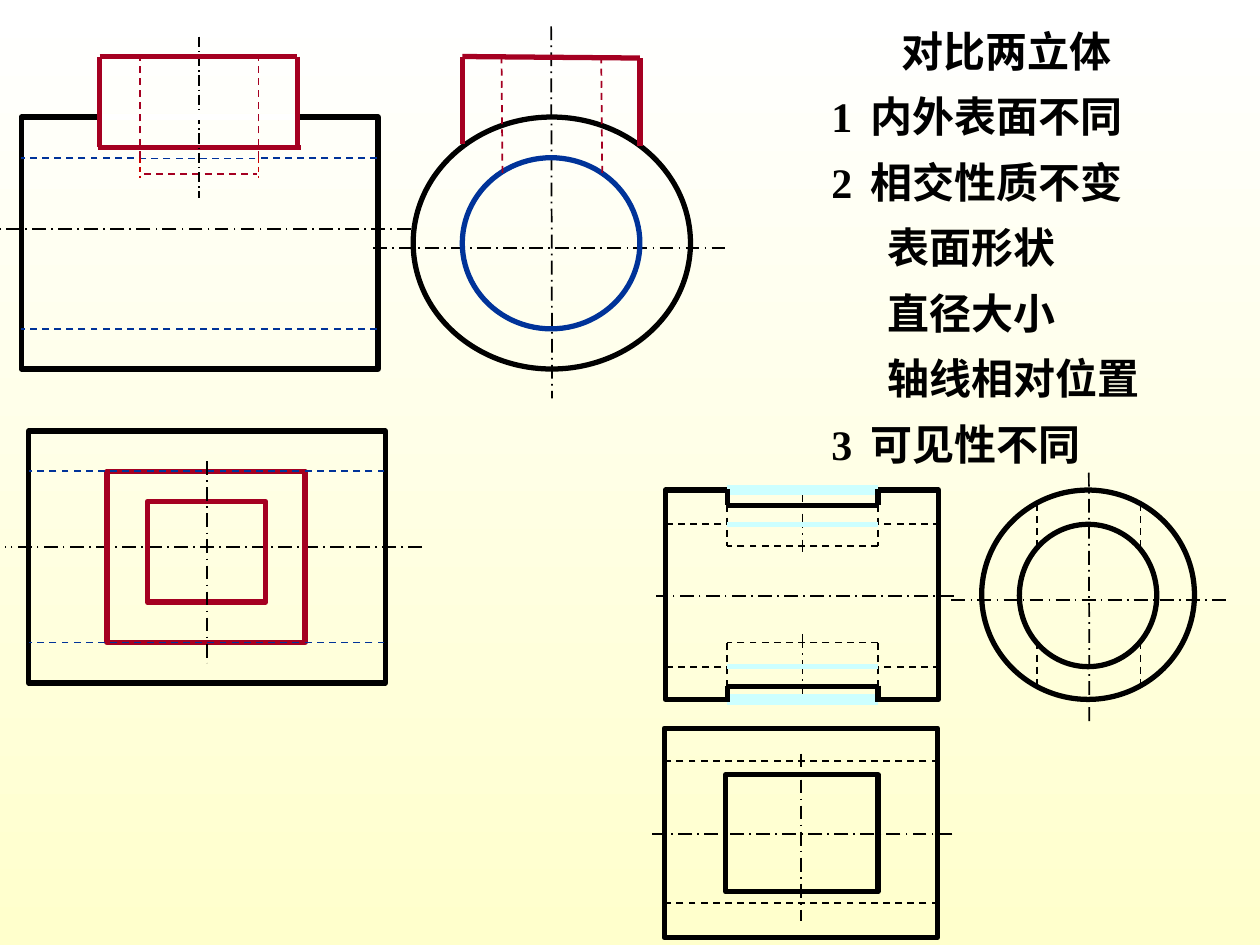
from lxml import etree
from pptx import Presentation
from pptx.dml.color import RGBColor
from pptx.enum.dml import MSO_LINE_DASH_STYLE as Dash
from pptx.enum.shapes import MSO_CONNECTOR as Connector, MSO_SHAPE as Shape
from pptx.enum.text import MSO_AUTO_SIZE as AutoSize, PP_ALIGN as Align
from pptx.oxml.ns import qn
from pptx.util import Cm, Pt

BLACK = RGBColor(0x00, 0x00, 0x00)
WHITE = RGBColor(0xFF, 0xFF, 0xFF)
CREAM = RGBColor(0xFF, 0xFF, 0xCC)
RED = RGBColor(0xA5, 0x00, 0x21)
BRIGHT_RED = RGBColor(0xCC, 0x00, 0x00)
BLUE = RGBColor(0x00, 0x33, 0x99)
CYAN = RGBColor(0xCC, 0xFF, 0xFF)


class Drawing:
    font_name = "Times New Roman"
    font_size = Pt(24)
    edge_width = 3
    thin_width = 1

    def __init__(self, page):
        self.page = page
        self.shapes = page.shapes

    def background(self, top, bottom):
        fill = self.page.background.fill
        fill.gradient()
        fill.gradient_angle = 270
        for stop, color, position in zip(fill.gradient_stops, (top, bottom), (0, 1)):
            stop.color.rgb = color
            stop.position = position

    def start_group(self):
        self.shapes = self.page.shapes.add_group_shape().shapes

    def end_group(self):
        self.shapes = self.page.shapes

    def line(self, x1, y1, x2, y2, color=BLACK, width=edge_width, dash=None):
        line = self.shapes.add_connector(
            Connector.STRAIGHT, Cm(x1), Cm(y1), Cm(x2), Cm(y2))
        line.line.color.rgb = color
        line.line.width = Pt(width)
        if dash is not None:
            line.line.dash_style = dash
        etree.SubElement(line._element.spPr, qn("a:effectLst"))

    def hidden_edge(self, x1, y1, x2, y2, color=BLACK, width=thin_width):
        self.line(x1, y1, x2, y2, color, width, Dash.DASH)

    def center_line(self, x1, y1, x2, y2, width=thin_width):
        self.line(x1, y1, x2, y2, BLACK, width, Dash.LONG_DASH_DOT)

    def outline(self, kind, left, top, width, height, color=BLACK):
        shape = self.shapes.add_shape(kind, Cm(left), Cm(top), Cm(width), Cm(height))
        shape.shadow.inherit = False
        shape.fill.background()
        shape.line.color.rgb = color
        shape.line.width = Pt(self.edge_width)

    def rectangle(self, *frame, color=BLACK):
        self.outline(Shape.RECTANGLE, *frame, color=color)

    def ellipse(self, *frame, color=BLACK):
        self.outline(Shape.OVAL, *frame, color=color)

    def text(self, left, top, width, height, lines):
        box = self.shapes.add_textbox(Cm(left), Cm(top), Cm(width), Cm(height))
        frame = box.text_frame
        frame.word_wrap = True
        frame.auto_size = AutoSize.SHAPE_TO_FIT_TEXT
        for index, (words, align, margin, indent) in enumerate(lines):
            para = frame.paragraphs[0] if index == 0 else frame.add_paragraph()
            para.alignment = align
            para.line_spacing = 1.3
            props = para._p.get_or_add_pPr()
            props.set("marL", str(Cm(margin)))
            props.set("indent", str(Cm(indent)))
            span = para.add_run()
            span.text = words
            span.font.name = self.font_name
            span.font.size = self.font_size
            span.font.bold = True
            span.font.color.rgb = BLACK


def draw_solid_with_boss(art):
    art.center_line(8.28, 4.62, 0, 4.62)
    art.center_line(8.51, 11.02, 0.1, 11.02)
    art.start_group()

    # Front view: tube
    art.rectangle(0.43, 2.36, 7.19, 5.08)
    for y in (3.18, 6.63):
        art.hidden_edge(7.6, y, 0.43, y, BLUE)

    # Side view
    art.center_line(7.52, 5, 14.71, 5)
    art.center_line(11.11, 0.53, 11.13, 8.03)
    art.ellipse(8.33, 2.36, 5.59, 5.08)
    art.line(9.32, 1.14, 12.9, 1.17, RED)
    art.line(9.32, 1.14, 9.32, 2.9, RED)
    art.line(12.9, 1.17, 12.9, 2.95, RED)
    art.ellipse(9.32, 3.18, 3.58, 3.45, color=BLUE)
    for x in (10.11, 12.12):
        art.hidden_edge(x, 1.14, x + 0.02, 3.56, RED)

    # Top view
    art.rectangle(0.58, 8.69, 7.19, 5.08)
    art.rectangle(2.16, 9.5, 3.99, 3.45, color=RED)
    for y in (9.5, 12.95):
        art.hidden_edge(7.75, y, 0.58, y, BLUE)
    art.rectangle(2.97, 10.11, 2.39, 2.03, color=RED)
    art.center_line(4.17, 9.3, 4.17, 13.36)

    # Front view: boss and its bore
    art.line(1.98, 2.97, 6.07, 2.97, RED)
    art.hidden_edge(2.9, 3.51, 5.18, 3.51, RED)
    art.line(2.82, 3.18, 5.21, 3.18, WHITE, 0.75)
    art.center_line(4.01, 0.74, 4.01, 3.99, 0.75)
    art.line(2.01, 2.36, 5.99, 2.36, WHITE)
    for x in (2.82, 5.21):
        art.hidden_edge(x, 3.18, x, 3.58, BRIGHT_RED, 0.75)
        art.hidden_edge(x, 3.18, x, 1.14, RED)
    art.line(2.01, 1.14, 5.99, 1.14, RED)
    for x in (2.01, 5.99):
        art.line(x, 1.14, x, 2.97, RED)
    art.end_group()


def draw_solid_with_slot(art):
    slot_sides = (14.66, 17.7)
    slot_left, slot_right = slot_sides
    art.start_group()

    # Side view
    art.center_line(19.18, 12.09, 24.71, 12.09)
    art.center_line(21.95, 9.53, 21.96, 14.61)
    art.ellipse(19.79, 9.88, 4.29, 4.22)
    art.ellipse(20.55, 10.57, 2.77, 2.87)
    for x in (20.9, 22.99):
        art.hidden_edge(x, 10.16, x, 11)
        art.hidden_edge(x, 12.95, x, 13.84)

    # Top view
    art.center_line(19.2, 16.81, 13.11, 16.81)
    art.rectangle(13.39, 14.68, 5.51, 4.22)
    art.rectangle(14.63, 15.62, 3.07, 2.36)
    for y in (15.34, 18.21):
        art.hidden_edge(18.92, y, 13.39, y)
    art.center_line(16.15, 15.19, 16.15, 18.57)

    # Front view: tube
    art.rectangle(13.41, 9.88, 5.51, 4.22)
    art.center_line(19.23, 12.01, 13.23, 12.01)
    for y in (10.57, 13.44):
        art.hidden_edge(18.95, y, 13.41, y)
    art.center_line(16.18, 9.83, 16.18, 11.13)
    art.center_line(16.18, 12.78, 16.18, 14.2)

    # Front view: slots, with the cut edges covered
    for outer, floor, depth, bore, wall_top, wall_end in (
            (9.88, 10.19, 11, 10.57, 9.86, 10.19),
            (14.1, 13.84, 12.95, 13.44, 13.82, 14.15)):
        art.line(slot_left, floor, slot_right, floor)
        art.line(slot_left, outer, slot_right, outer, CYAN, 6)
        art.hidden_edge(slot_right, depth, slot_left, depth)
        for x in slot_sides:
            art.line(x, wall_top, x, wall_end)
            art.hidden_edge(x, floor, x, depth)
        art.line(slot_left, bore, slot_right, bore, CYAN)
    art.end_group()


def main():
    deck = Presentation()
    deck.slide_width, deck.slide_height = Cm(25.4), Cm(19.05)
    art = Drawing(deck.slides.add_slide(deck.slide_layouts[6]))
    art.background(WHITE, CREAM)
    draw_solid_with_boss(art)
    draw_solid_with_slot(art)

    # Comparison notes: words, alignment, left margin, first-line indent
    numbered = (Align.LEFT, 0.79, -0.79)
    nested = (Align.LEFT, 1.14, 0)
    art.text(16.51, 0.08, 7.57, 9.5, [
        ("对比两立体", Align.CENTER, 0, 0),
        ("1\t内外表面不同", *numbered),
        ("2\t相交性质不变", *numbered),
        ("表面形状", *nested),
        ("直径大小", *nested),
        ("轴线相对位置", *nested),
        ("3\t可见性不同", *numbered),
    ])
    deck.save("out.pptx")


if __name__ == "__main__":
    main()
